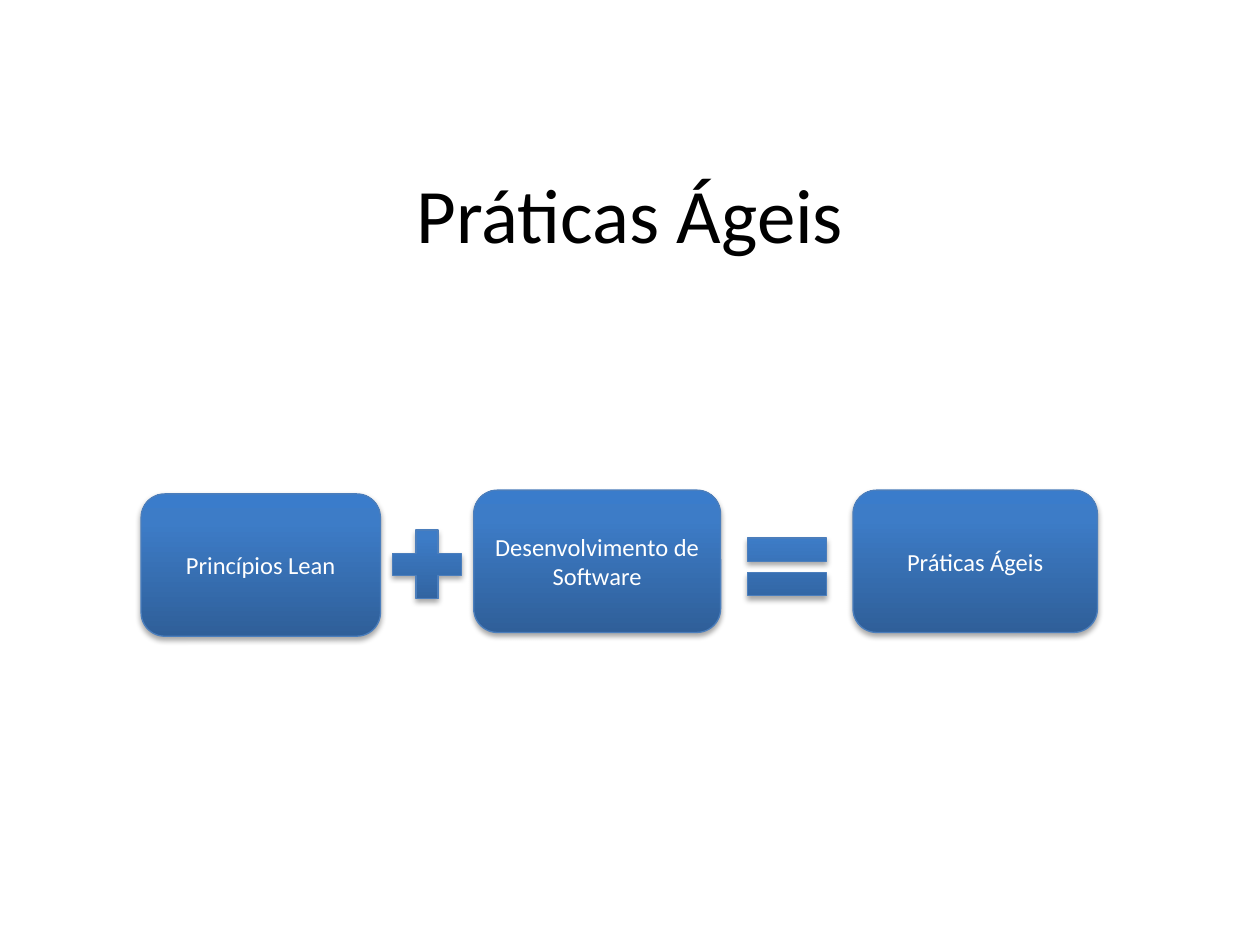
import copy

import lxml.etree
import pptx
import pptx.dml.color
import pptx.enum.shapes
import pptx.enum.text
import pptx.oxml.ns
import pptx.util

Inches = pptx.util.Inches
SHAPE = pptx.enum.shapes.MSO_SHAPE
qn = pptx.oxml.ns.qn

GRADIENT = [(0, "2F5F99"), (0.8, "3D7CC7"), (1, "3A7CCB")]
OUTLINE = "4B7EBC"
SHADOW = {
    "blurRad": pptx.util.Pt(3.15),
    "dist": pptx.util.Pt(1.81),
    "dir": 90 * 60000,
    "algn": "ctr",
    "rotWithShape": 0,
}
TERMS = [
    ("Princípios Lean", 1.12, 3.92, 1.9),
    ("Desenvolvimento de Software", 3.76, 3.89, 1.96),
    ("Práticas Ágeis", 6.77, 3.89, 1.94),
]
TERM_HEIGHT = 1.13
OPERATORS = [
    (SHAPE.MATH_PLUS, 3.02, 4.11, 0.74, 0.74),
    (SHAPE.MATH_EQUAL, 5.82, 4.11, 0.85, 0.78),
]


def rgb(color):
    return pptx.dml.color.RGBColor.from_string(color)


def write_text(holder, text, size, color):
    frame = holder.text_frame
    frame.word_wrap = True
    frame.vertical_anchor = pptx.enum.text.MSO_ANCHOR.MIDDLE
    paragraph = frame.paragraphs[0]
    paragraph.alignment = pptx.enum.text.PP_ALIGN.CENTER
    run = paragraph.add_run()
    run.text = text
    font_format = {"name": "Calibri", "size": pptx.util.Pt(size)}
    for attribute, value in font_format.items():
        setattr(run.font, attribute, value)
    run.font.color.rgb = rgb(color)


def paint_gradient(shape):
    shape.fill.gradient()
    shape.fill.gradient_angle = 90
    stop_list = shape._element.spPr.find(".//" + qn("a:gsLst"))
    stop_list.insert(1, copy.deepcopy(stop_list[0]))
    for stop, (position, color) in zip(shape.fill.gradient_stops, GRADIENT):
        stop.position = position
        stop.color.rgb = rgb(color)


def cast_shadow(shape):
    shape.shadow.inherit = False
    effects = shape._element.spPr.find(qn("a:effectLst"))
    shadow = lxml.etree.SubElement(effects, qn("a:outerShdw"))
    for attribute, value in SHADOW.items():
        shadow.set(attribute, str(value))
    color = lxml.etree.SubElement(shadow, qn("a:srgbClr"), val="000000")
    lxml.etree.SubElement(color, qn("a:alpha"), val="35000")


def add_block(equation, kind, left, top, width, height):
    block = equation.shapes.add_shape(
        kind, Inches(left), Inches(top), Inches(width), Inches(height)
    )
    paint_gradient(block)
    block.line.color.rgb = rgb(OUTLINE)
    block.line.width = pptx.util.Pt(0.75)
    cast_shadow(block)
    return block


def add_equation(slide):
    equation = slide.shapes.add_group_shape()
    for text, left, top, width in TERMS:
        term = add_block(
            equation, SHAPE.ROUNDED_RECTANGLE, left, top, width, TERM_HEIGHT
        )
        write_text(term, text, 14, "FFFFFF")
    for operator in OPERATORS:
        add_block(equation, *operator)


def add_title(slide, text):
    title = slide.shapes.add_textbox(
        Inches(0.5), Inches(1.06), Inches(9), Inches(1.25)
    )
    write_text(title, text, 44, "000000")


def main():
    presentation = pptx.Presentation()
    presentation.slide_width = Inches(10)
    presentation.slide_height = Inches(7.5)
    slide = presentation.slides.add_slide(presentation.slide_layouts[6])
    add_equation(slide)
    add_title(slide, "Práticas Ágeis")
    presentation.save("out.pptx")


if __name__ == "__main__":
    main()
